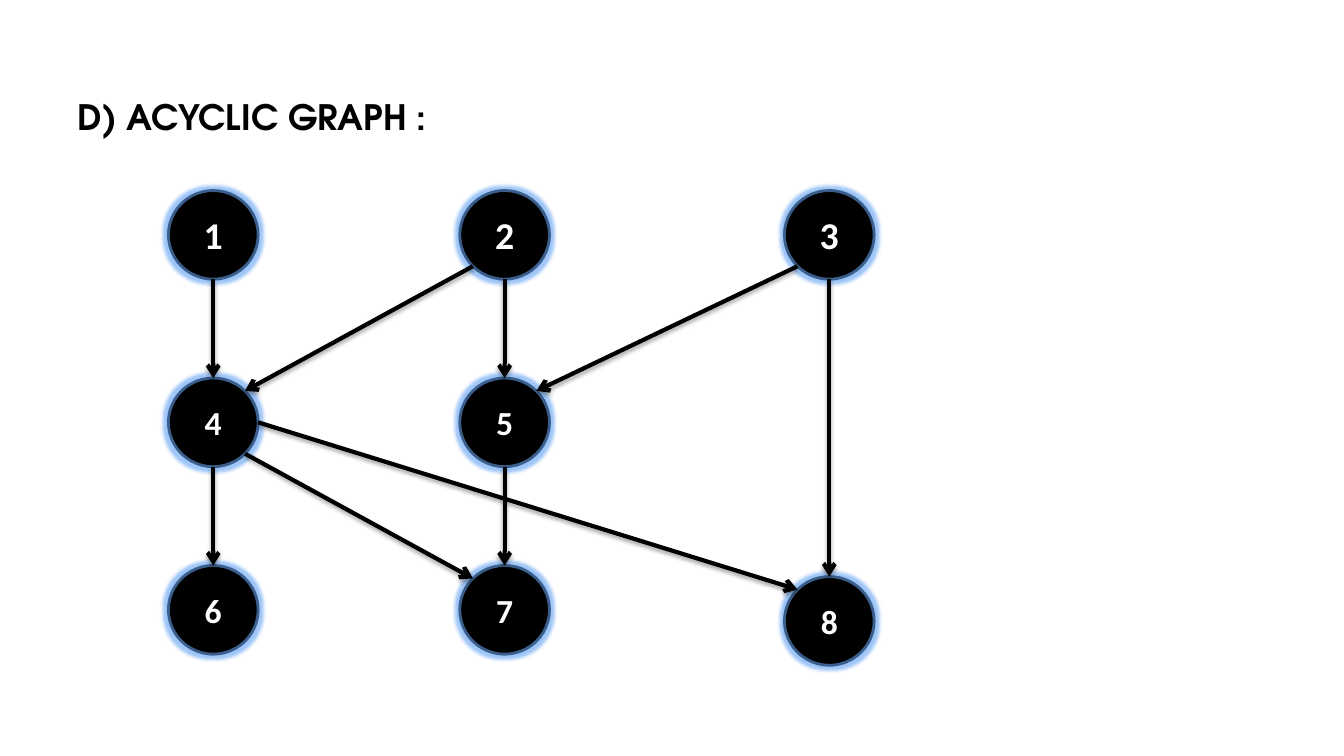
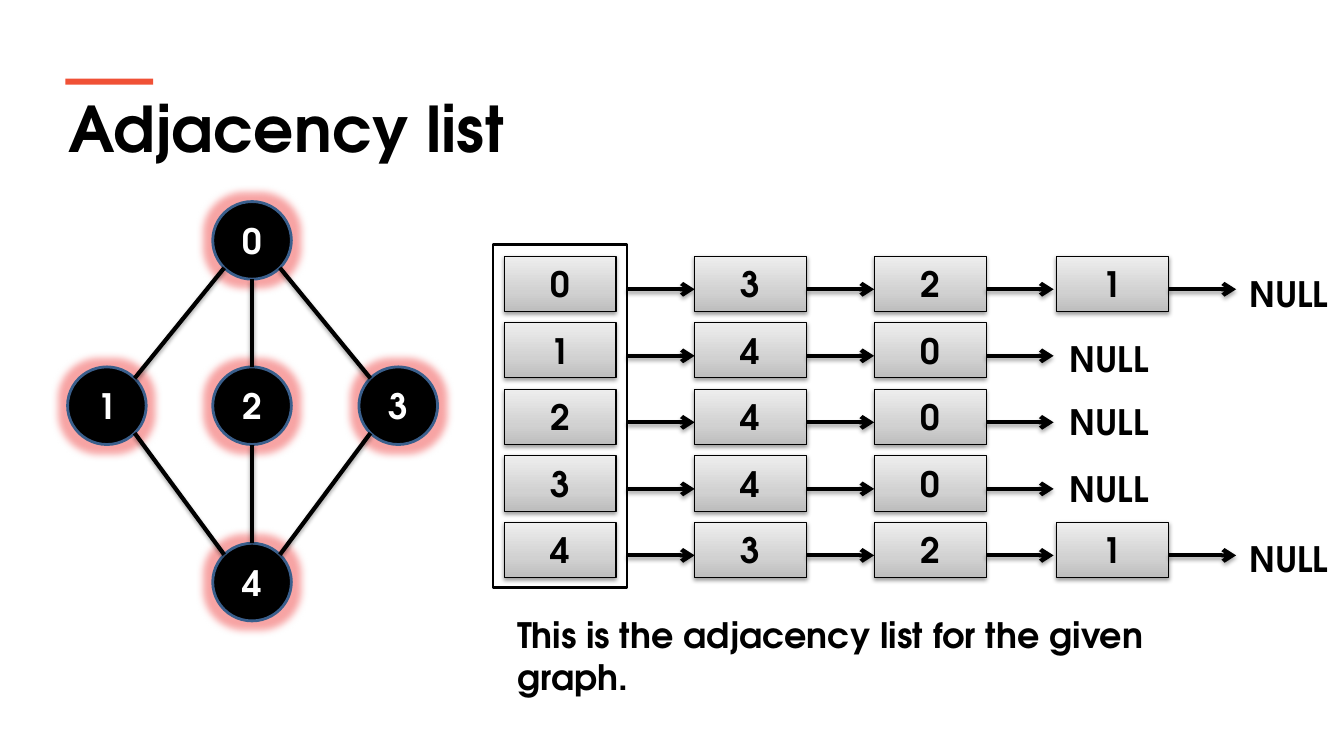
from copy import deepcopy
from lxml.etree import SubElement
from pptx import Presentation
from pptx.dml.color import RGBColor
from pptx.enum.shapes import MSO_CONNECTOR, MSO_SHAPE
from pptx.enum.text import MSO_ANCHOR, MSO_AUTO_SIZE, PP_ALIGN
from pptx.oxml.ns import qn
from pptx.util import Emu, Pt

# Shared style: 100 px to the inch
SCALE = 9144
SANS, ROUND = "Calibri", "TeX Gyre Adventor"
BLACK, WHITE, RIM, ACCENT = "000000", "FFFFFF", "3A5F8C", "F05136"
BLUE, RED = "3C8CF0", "F04848"
GRAY = [(0, "BDBDBD"), (0.35, "D1D1D1"), (1, "EEEEEE")]
PAD = (13, 7, 13, 7)

# Acyclic graph: name -> left, top, text size
DAG = {
    "1": (167, 189, 27), "2": (456, 189, 27), "3": (778, 189, 27),
    "4": (167, 375, 24), "5": (456, 375, 24),
    "6": (167, 561, 24), "7": (456, 561, 24), "8": (778, 572, 24),
}
ARROWS = [
    ("1", "s", "4", "n"), ("2", "s", "5", "n"), ("5", "s", "7", "n"),
    ("4", "s", "6", "n"), ("3", "s", "8", "n"), ("4", "se", "7", "nw"),
    ("4", "e", "8", "nw"), ("2", "sw", "4", "ne"), ("3", "sw", "5", "ne"),
]

# Undirected graph and its adjacency list
NET = {
    "0": (211, 200, 25), "1": (67, 364, 25), "2": (211, 364, 25),
    "3": (356, 364, 25), "4": (211, 539, 25),
}
EDGES = [
    ("0", "sw", "1", "ne"), ("4", "nw", "1", "se"), ("3", "nw", "0", "se"),
    ("4", "ne", "3", "sw"), ("2", "s", "4", "n"), ("0", "s", "2", "n"),
]
LISTS = ["0321", "140", "240", "340", "4321"]
COLS = [500, 689, 867, 1048, 1226]
NULLS = [263, 328, 390, 457, 526]
TOP, STEP, CELL, HIGH, ARROW = 254, 66, 111, 55, 67
FRAME = (489, 243, 133, 340)

# Points on the rim of an ellipse, as shares of its box
NEAR, FAR = 0.146, 0.854
SITES = {
    "n": (0.5, 0), "e": (1, 0.5), "s": (0.5, 1),
    "nw": (NEAR, NEAR), "ne": (FAR, NEAR),
    "sw": (NEAR, FAR), "se": (FAR, FAR),
}


def px(*nums):
    return [Emu(round(n * SCALE)) for n in nums]


def rgb(code):
    return RGBColor.from_string(code)


def effect(shape, kind, color, alpha, **attrs):
    """Put a glow or a shadow on a shape or connector."""
    props = shape.element.spPr
    group = props.find(qn("a:effectLst"))
    if group is None:
        group = SubElement(props, qn("a:effectLst"))
    node = SubElement(group, qn("a:" + kind))
    for key, val in attrs.items():
        node.set(key, str(val))
    tint = SubElement(node, qn("a:srgbClr"), val=color)
    SubElement(tint, qn("a:alpha"), val=str(alpha * 1000))


def drop(shape, alpha, dist):
    effect(shape, "outerShdw", BLACK, alpha, blurRad=Pt(3.1),
           dist=Pt(dist), dir=5400000, rotWithShape=0)


def write(shape, text, size, font=ROUND, color=BLACK, align=PP_ALIGN.LEFT,
          anchor=MSO_ANCHOR.TOP, pad=PAD):
    frame = shape.text_frame
    frame.word_wrap = True
    frame.auto_size = MSO_AUTO_SIZE.NONE
    frame.vertical_anchor = anchor
    (frame.margin_left, frame.margin_top,
     frame.margin_right, frame.margin_bottom) = px(*pad)
    para = frame.paragraphs[0]
    para.alignment = align
    run = para.add_run()
    run.text = text
    run.font.name, run.font.size, run.font.bold = font, Pt(size), True
    run.font.color.rgb = rgb(color)


def shape(slide, kind, box, fill=None, line=None, width=2):
    item = slide.shapes.add_shape(kind, *px(*box))
    item.shadow.inherit = False
    if fill:
        item.fill.solid()
        item.fill.fore_color.rgb = rgb(fill)
    else:
        item.fill.background()
    if line:
        item.line.color.rgb = rgb(line)
        item.line.width = Pt(width)
    else:
        item.line.fill.background()
    return item


def label(slide, box, text, pad=PAD):
    write(slide.shapes.add_textbox(*px(*box)), text, 25, pad=pad)


def link(slide, start, end, head=True):
    item = slide.shapes.add_connector(
        MSO_CONNECTOR.STRAIGHT, *px(*start, *end))
    item.line.color.rgb = rgb(BLACK)
    item.line.width = Pt(3)
    if head:
        SubElement(item.line._get_or_add_ln(), qn("a:tailEnd"), type="arrow")
    drop(item, 35, 1.8)


def graph(slide, nodes, edges, wide, high, font, glow, head):
    """Draw glowing round nodes and the lines between their rims."""
    for name, (left, top, size) in nodes.items():
        disc = shape(slide, MSO_SHAPE.OVAL, (left, top, wide, high),
                     BLACK, RIM)
        color, radius, alpha = glow
        effect(disc, "glow", color, alpha, rad=Pt(radius))
        write(disc, name, size, font, WHITE, PP_ALIGN.CENTER,
              MSO_ANCHOR.MIDDLE)

    def spot(name, site):
        left, top, _ = nodes[name]
        across, down = SITES[site]
        return left + across * wide, top + down * high

    for a, out, b, into in edges:
        link(slide, spot(a, out), spot(b, into), head)


def cell(slide, left, top, text):
    item = shape(slide, MSO_SHAPE.RECTANGLE, (left, top, CELL, HIGH),
                 None, BLACK, 0.75)
    item.fill.gradient()
    item.fill.gradient_angle = 90
    stops = item.element.spPr.find(".//" + qn("a:gsLst"))
    stops.append(deepcopy(stops[0]))
    for stop, (place, color) in zip(item.fill.gradient_stops, GRAY):
        stop.position = place
        stop.color.rgb = rgb(color)
    drop(item, 38, 1.6)
    write(item, text, 25, align=PP_ALIGN.CENTER, anchor=MSO_ANCHOR.MIDDLE)


def start(deck, text, box, size):
    """Add a title-only slide with its title in place."""
    slide = deck.slides.add_slide(deck.slide_layouts[5])
    title = slide.shapes.title
    title.left, title.top, title.width, title.height = px(*box)
    write(title, text, size, pad=(10, 5, 10, 5))
    return slide


def main():
    deck = Presentation()
    deck.slide_width, deck.slide_height = px(1333, 750)

    # Acyclic graph
    slide = start(deck, "D) ACYCLIC GRAPH :", (67, 90, 1200, 60), 25)
    graph(slide, DAG, ARROWS, 89, 88, SANS, (BLUE, 5, 50), True)

    # Adjacency list: graph on the left
    slide = start(deck, "Adjacency list", (58, 84, 1218, 86), 45)
    shape(slide, MSO_SHAPE.RECTANGLE, (65, 78, 87, 6), ACCENT)
    graph(slide, NET, EDGES, 78, 77, ROUND, (RED, 11, 50), False)

    # Chains of cells, each ending in NULL
    shape(slide, MSO_SHAPE.RECTANGLE, FRAME, None, BLACK)
    for row, chain in enumerate(LISTS):
        top = TOP + row * STEP
        mid = top + 33
        for col, name in enumerate(chain):
            cell(slide, COLS[col], top, name)
            edge = COLS[col] + CELL if col else FRAME[0] + FRAME[2]
            link(slide, (edge, mid), (edge + ARROW, mid))
        label(slide, (COLS[len(chain)], NULLS[row], 107, HIGH), "NULL",
              (13, 7, 0, 7))
    label(slide, (500, 602, 746, 97),
          "This is the adjacency list for the given graph.")

    deck.save("out.pptx")


if __name__ == "__main__":
    main()
